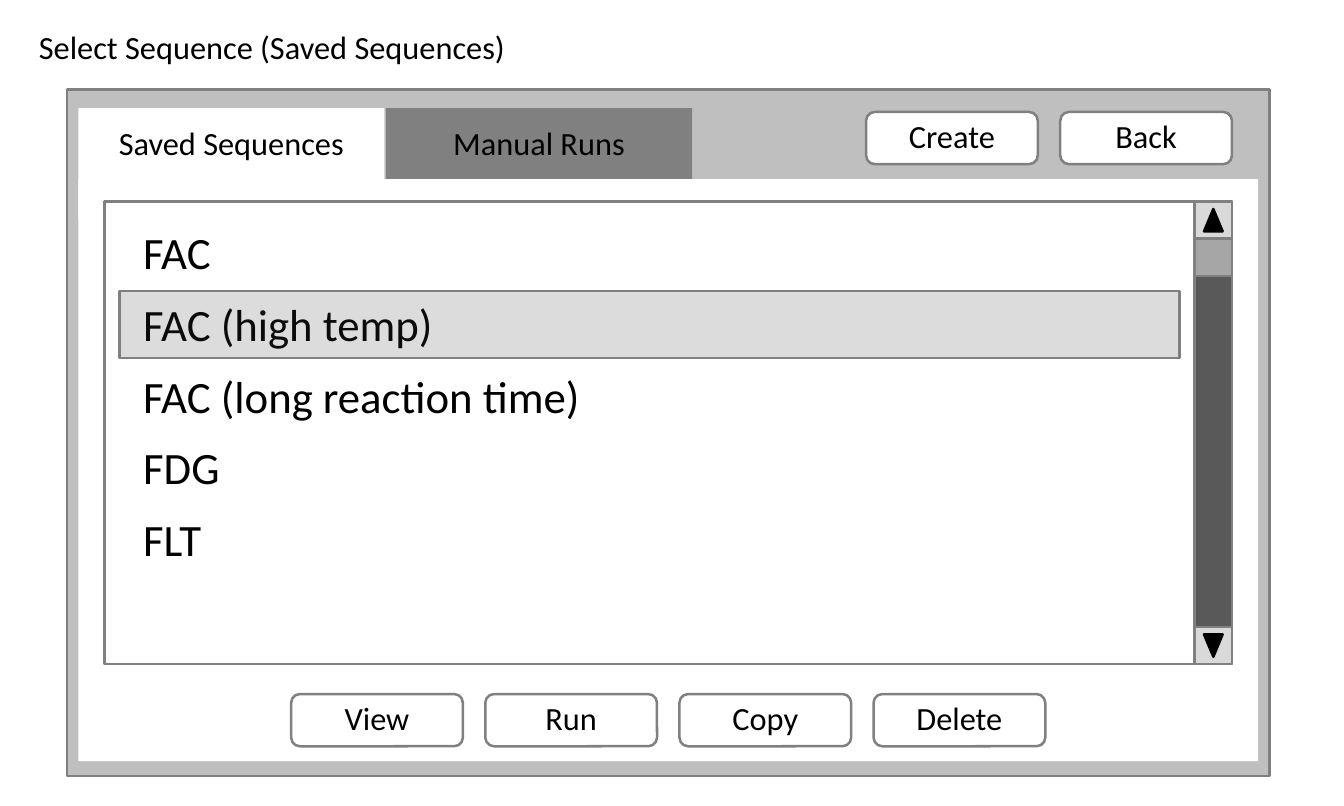
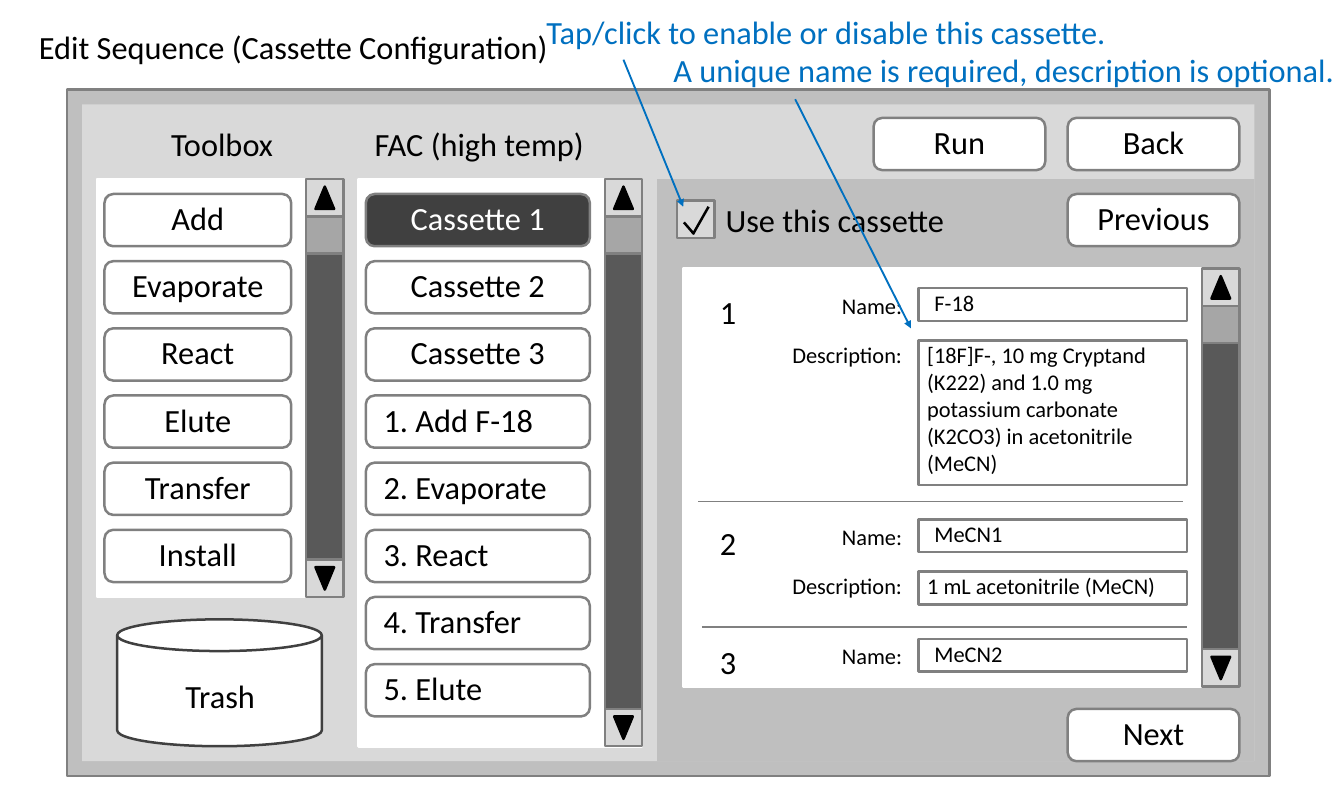
import lxml.etree
import pptx
import pptx.dml.color
import pptx.enum.shapes
import pptx.enum.text
import pptx.oxml.ns
import pptx.util

SHAPE = pptx.enum.shapes.MSO_SHAPE
ALIGN = pptx.enum.text.PP_ALIGN
qn = pptx.oxml.ns.qn

FONT = "Calibri"
BLACK, WHITE, BLUE = "000000", "FFFFFF", "0070C0"
BORDER, FRAME, PALE, THUMB = "808080", "BFBFBF", "D9D9D9", "A6A6A6"
TRACK, DARK = "595959", "404040"
BODY, SMALL, LARGE = 26, 18, 36
COLUMNS, ROWS = 180, 108


def rgb(value):
    return pptx.dml.color.RGBColor.from_string(value)


def write(tf, text, size=BODY, color=BLACK, align=ALIGN.LEFT,
          inset=(0.1, 0.05, 0.1, 0.05), after=0):
    tf.word_wrap = True
    tf.auto_size = pptx.enum.text.MSO_AUTO_SIZE.NONE
    tf.vertical_anchor = pptx.enum.text.MSO_ANCHOR.TOP
    left, top, right, bottom = (pptx.util.Inches(v) for v in inset)
    tf.margin_left, tf.margin_top = left, top
    tf.margin_right, tf.margin_bottom = right, bottom
    for i, content in enumerate(text.split("\n")):
        p = tf.paragraphs[0] if i == 0 else tf.add_paragraph()
        p.alignment = align
        p.space_after = pptx.util.Pt(after)
        r = p.add_run()
        r.text = content
        r.font.name = FONT
        r.font.size = pptx.util.Pt(size)
        r.font.color.rgb = rgb(color)


class Screen:
    button_width, button_height, button_pitch = 23, 7, 9
    bar = 5

    def __init__(self, prs):
        self.prs = prs
        self.s = None

    def x(self, columns):
        return round(self.prs.slide_width * columns / COLUMNS)

    def y(self, rows):
        return round(self.prs.slide_height * rows / ROWS)

    def area(self, x, y, w, h):
        return self.x(x), self.y(y), self.x(w), self.y(h)

    def start(self, title):
        self.s = self.prs.slides.add_slide(self.prs.slide_layouts[5])
        sp = self.s.shapes.title
        sp.left, sp.top, sp.width, sp.height = self.area(4, 3, 96, 6.5)
        write(sp.text_frame, title)
        self.box(9, 12, 161, 92, FRAME, BORDER)

    def box(self, x, y, w, h, fill=WHITE, line=None, kind=SHAPE.RECTANGLE,
            rotation=0, alpha=None):
        sp = self.s.shapes.add_shape(kind, *self.area(x, y, w, h))
        sp.shadow.inherit = False
        sp.rotation = rotation
        sp.fill.solid()
        sp.fill.fore_color.rgb = rgb(fill)
        if alpha is not None:
            color = sp._element.spPr.find(".//" + qn("a:srgbClr"))
            lxml.etree.SubElement(color, qn("a:alpha"), val=str(alpha * 1000))
        if line:
            sp.line.color.rgb = rgb(line)
            sp.line.width = pptx.util.Pt(2)
        else:
            sp.line.fill.background()
        return sp

    def label(self, text, x, y, w, h=6.5, **style):
        sp = self.s.shapes.add_textbox(*self.area(x, y, w, h))
        write(sp.text_frame, text, **style)

    def tab(self, text, x, fill):
        sp = self.box(x, 14.5, 41, 11 if fill != WHITE else 15, fill)
        write(sp.text_frame, text, align=ALIGN.CENTER, inset=(0, 0.17, 0, 0))

    def button(self, text, x, y, w=button_width, fill=WHITE, color=BLACK,
               align=ALIGN.CENTER):
        sp = self.box(x, y, w, self.button_height, fill, BORDER,
                      SHAPE.ROUNDED_RECTANGLE)
        side = 0.17 if align == ALIGN.LEFT else 0
        write(sp.text_frame, text, color=color, align=align,
              inset=(side, 0.02, 0, 0))

    def scrollbar(self, x, y, h):
        bar = self.bar
        self.box(x, y + bar, bar, h - 2 * bar, TRACK, BORDER)
        self.box(x, y + bar, bar, bar, THUMB, BORDER)
        for top, turn in ((y, 0), (y + h - bar, 180)):
            self.box(x, top, bar, bar, PALE, BORDER)
            self.box(x + 1.25, top + 1, 2.5, 3, BLACK, BLACK,
                     SHAPE.ISOSCELES_TRIANGLE, turn)

    def scroll_panel(self, x, y, w, h, line=WHITE):
        self.box(x, y, w, h, WHITE, line)
        self.scrollbar(x + w - self.bar, y, h)

    def line(self, start, end, color, width=1.5, arrow=False):
        cn = self.s.shapes.add_connector(
            pptx.enum.shapes.MSO_CONNECTOR.STRAIGHT,
            self.x(start[0]), self.y(start[1]), self.x(end[0]), self.y(end[1]))
        cn.line.color.rgb = rgb(color)
        cn.line.width = pptx.util.Pt(width)
        if arrow:
            lxml.etree.SubElement(cn.line._get_or_add_ln(), qn("a:tailEnd"),
                                  type="triangle")
        lxml.etree.SubElement(cn._element.spPr, qn("a:effectLst"))

    def field(self, name, value, y, h=4.4, indent=0.1):
        self.label(name, 91, y, 31, 4.8, size=SMALL, align=ALIGN.RIGHT)
        sp = self.box(123, y + 0.1 if name == "Name:" else y + 0.5, 36, h,
                      WHITE, BORDER)
        write(sp.text_frame, value, size=SMALL, inset=(indent, 0.01, 0.1, 0))

    def reagent(self, number, y, name, description=None, h=4.4):
        self.label(number, 94, y, 7, align=ALIGN.CENTER)
        self.field("Name:", name, y, indent=0.18)
        if description:
            self.field("Description:", description, y + 6.6, h)

    def note(self, text, x, y, w, start, end):
        self.label(text, x, y, w, color=BLUE, inset=(0.1, 0.05, 0, 0))
        self.line(start, end, BLUE, arrow=True)


def saved_sequences(screen):
    screen.start("Select Sequence (Saved Sequences)")
    screen.tab("Saved Sequences", 10.5, WHITE)
    screen.tab("Manual Runs", 51.7, BORDER)
    screen.box(10.5, 24, 158, 78)
    for i, text in enumerate(("Create", "Back")):
        screen.button(text, 116 + 26 * i, 15)
    for i, text in enumerate(("View", "Run", "Copy", "Delete")):
        screen.button(text, 39 + 26 * i, 93)
    screen.scroll_panel(14, 27, 151, 62, BORDER)
    sequences = ("FAC", "FAC (high temp)", "FAC (long reaction time)",
                 "FDG", "FLT")
    screen.label("\n".join(sequences), 18, 29.5, 121, 47.3, size=LARGE,
                 after=14.6)
    screen.box(16, 39, 142, 9, DARK, BORDER, alpha=18)


def cassette_configuration(screen):
    screen.start("Edit Sequence (Cassette Configuration)")
    screen.box(11, 14, 157, 88, PALE)
    screen.box(88, 24, 80, 78, FRAME)
    for text, x, y in (("Run", 117, 15.8), ("Back", 143, 15.8),
                       ("Previous", 143, 26), ("Next", 143, 95)):
        screen.button(text, x, y)

    screen.label("FAC (high temp)", 49, 16, 36)
    screen.scroll_panel(48, 24, 38, 76)
    steps = ("Cassette 1", "Cassette 2", "Cassette 3", "1. Add F-18",
             "2. Evaporate", "3. React", "4. Transfer", "5. Elute")
    for i, text in enumerate(steps):
        fill, color = (DARK, WHITE) if i == 0 else (WHITE, BLACK)
        align = ALIGN.CENTER if text.startswith("Cassette") else ALIGN.LEFT
        screen.button(text, 49, 26 + screen.button_pitch * i, 30, fill, color,
                      align)

    screen.label("Toolbox", 14, 16, 31.5, align=ALIGN.CENTER)
    screen.scroll_panel(13, 24, 33, 56)
    tools = ("Add", "Evaporate", "React", "Elute", "Transfer", "Install")
    for i, text in enumerate(tools):
        screen.button(text, 14, 26 + screen.button_pitch * i, 25)
    screen.box(15.7, 83, 27.4, 17, WHITE, DARK, SHAPE.CAN)
    screen.label("Trash", 17, 90, 25, align=ALIGN.CENTER)

    screen.label("Use this cassette", 96, 26.2, 37)
    screen.box(90.7, 26.9, 5, 5, PALE, BORDER)
    screen.line((91.6, 29.8), (92.9, 31.3), BLACK, 2)
    screen.line((94.9, 27.7), (92.8, 31.4), BLACK, 2)

    screen.scroll_panel(91.5, 36, 74.5, 56)
    screen.reagent("1", 38.5, "F-18",
                   "[18F]F-, 10 mg Cryptand (K222) and 1.0 mg potassium "
                   "carbonate (K2CO3) in acetonitrile (MeCN)", 19.4)
    screen.reagent("2", 69.5, "MeCN1", "1 mL acetonitrile (MeCN)")
    screen.reagent("3", 85.5, "MeCN2")
    for x, y in ((93.5, 67.2), (94, 84)):
        screen.line((x, y), (x + 65, y), BORDER)

    screen.note("Tap/click to enable or disable this cassette.",
                72, 1, 100, (83.5, 8), (91.5, 27.7))
    screen.note("A unique name is required, description is optional.",
                89, 6.2, 91, (106.5, 13.3), (122, 44))


prs = pptx.Presentation()
prs.slide_width = pptx.util.Inches(15)
prs.slide_height = pptx.util.Inches(9)
screen = Screen(prs)
saved_sequences(screen)
cassette_configuration(screen)
prs.save("out.pptx")
